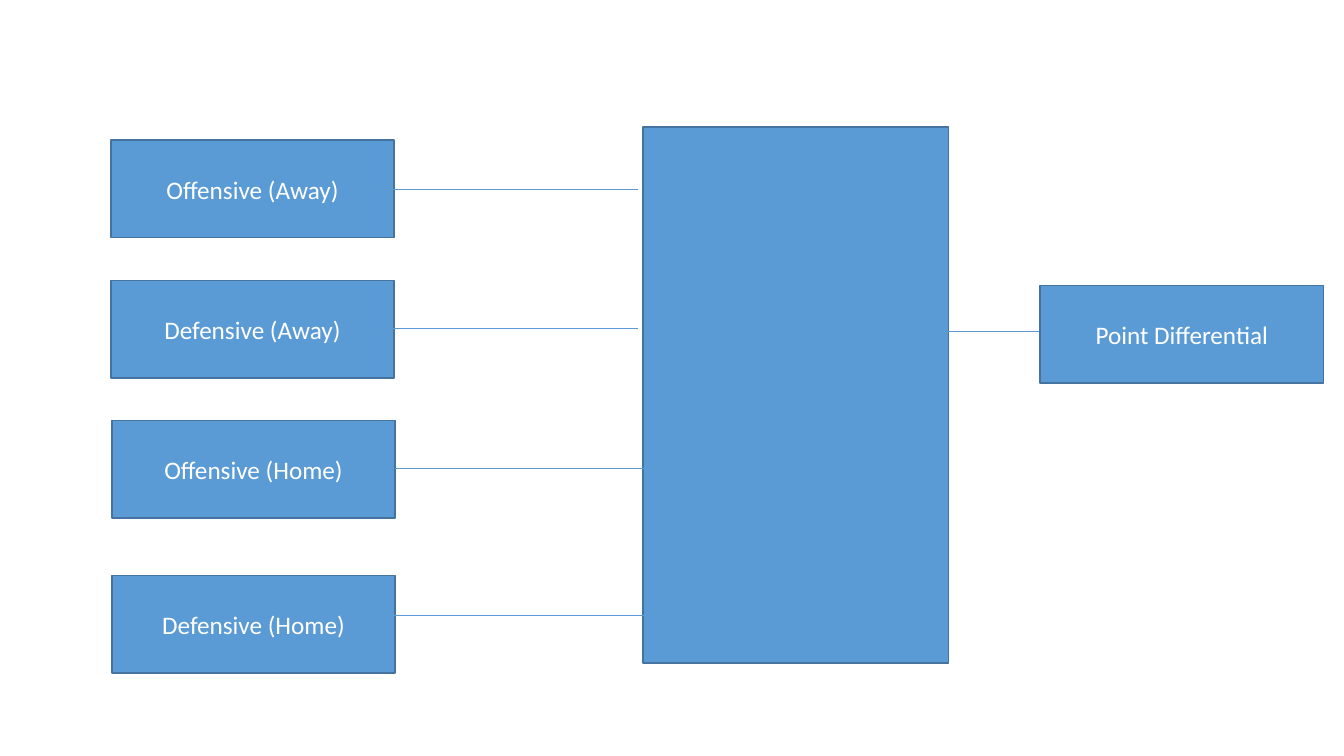
from lxml.etree import SubElement
from pptx import Presentation
from pptx.dml.color import RGBColor
from pptx.enum.shapes import MSO_CONNECTOR as Connector, MSO_SHAPE as Shape
from pptx.enum.text import MSO_ANCHOR as Anchor, PP_ALIGN as Align
from pptx.oxml.ns import qn
from pptx.util import Pt

BLUE = RGBColor(0x5B, 0x9B, 0xD5)
DARK_BLUE = RGBColor(0x43, 0x73, 0x9E)
WHITE = RGBColor(0xFF, 0xFF, 0xFF)

BOX_WIDTH, BOX_HEIGHT = 202.3, 69.8
INPUT_PITCH = 100.1
INPUTS = [
    ("Offensive (Away)", 0, 0, 35.1, 201.6, 376.6),
    ("Defensive (Away)", 0, INPUT_PITCH, 34.6, 201.6, 376.6),
    ("Offensive (Home)", 0.7, 2 * INPUT_PITCH, 34.6, 203, 414.7),
    ("Defensive (Home)", 0.7, 311, 28.8, 198.7, 411.1),
]


def add_box(slide, left, top, width, height, label=""):
    """Draw a blue rectangle with an optional centred label."""
    box = slide.shapes.add_shape(Shape.RECTANGLE, Pt(left), Pt(top), Pt(width), Pt(height))
    box.shadow.inherit = False
    box.fill.solid()
    box.fill.fore_color.rgb = BLUE
    box.line.color.rgb = DARK_BLUE
    box.line.width = Pt(1)
    if label:
        box.text_frame.word_wrap = True
        box.text_frame.vertical_anchor = Anchor.MIDDLE
        paragraph = box.text_frame.paragraphs[0]
        paragraph.alignment = Align.CENTER
        run = paragraph.add_run()
        run.text = label
        run.font.name = "Calibri"
        run.font.size = Pt(18)
        run.font.color.rgb = WHITE


def add_link(slide, start, end, y):
    """Draw a thin horizontal connector."""
    link = slide.shapes.add_connector(Connector.STRAIGHT, Pt(start), Pt(y), Pt(end), Pt(y))
    link.line.color.rgb = BLUE
    link.line.width = Pt(0.5)
    SubElement(link._element.spPr, qn("a:effectLst"))


def add_inputs(slide, left, top):
    """Draw the input boxes and their links to the model."""
    for label, shift, offset, drop, start, end in INPUTS:
        add_box(slide, left + shift, top + offset, BOX_WIDTH, BOX_HEIGHT, label)
        add_link(slide, left + start, left + end, top + offset + drop)


def add_output(slide, left, top):
    """Draw the output box and the link that reaches it."""
    add_link(slide, left - 200, left + 12.2, top + 33.1)
    add_box(slide, left, top, BOX_WIDTH, BOX_HEIGHT, "Point Differential")


def main():
    """Build the diagram slide and save it."""
    presentation = Presentation()
    presentation.slide_width, presentation.slide_height = Pt(960), Pt(540)
    slide = presentation.slides.add_slide(presentation.slide_layouts[6])
    add_box(slide, 459.4, 90.7, 218.2, 383)
    add_inputs(slide, 79.2, 100.1)
    add_output(slide, 743, 203.8)
    presentation.save("out.pptx")


if __name__ == "__main__":
    main()
